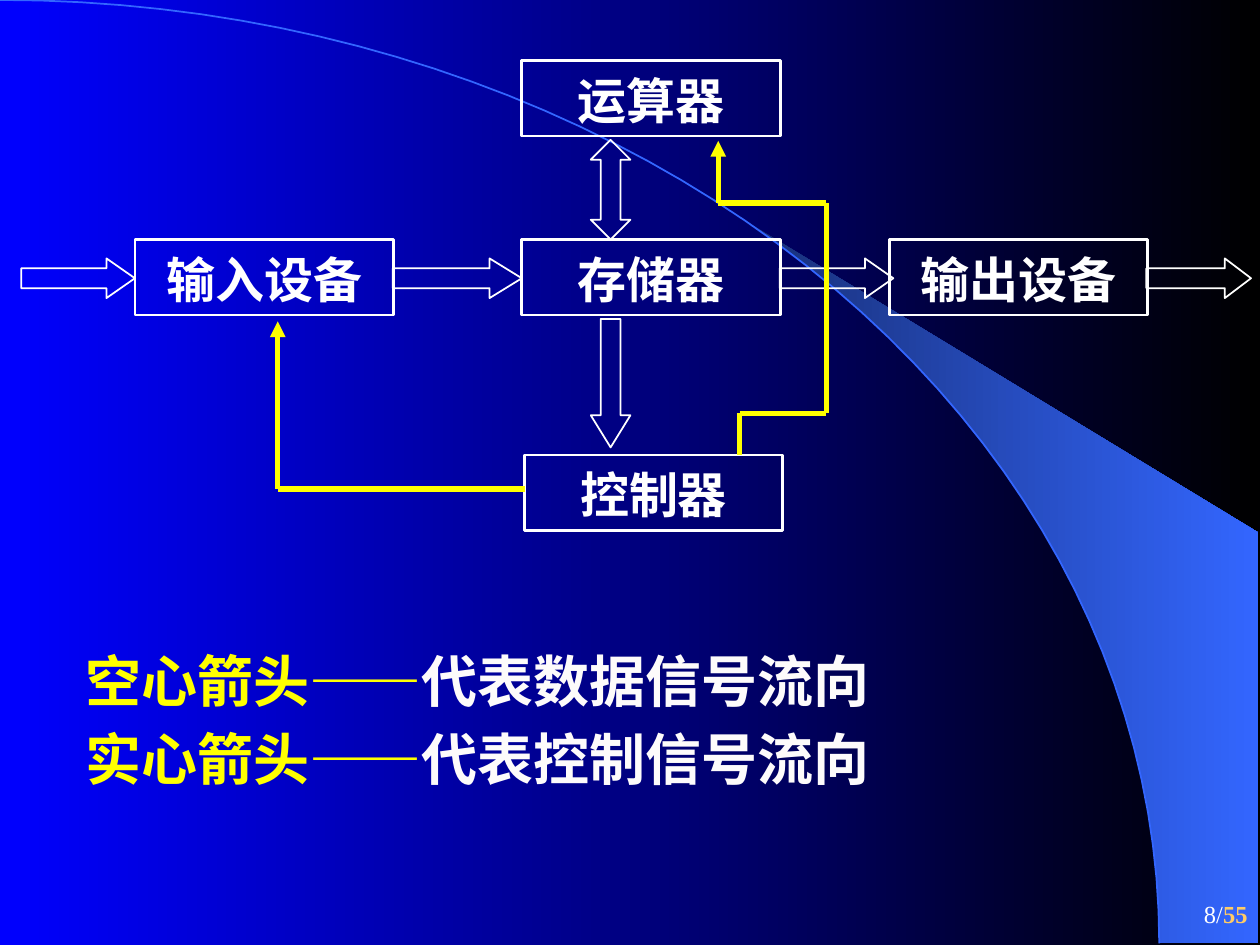
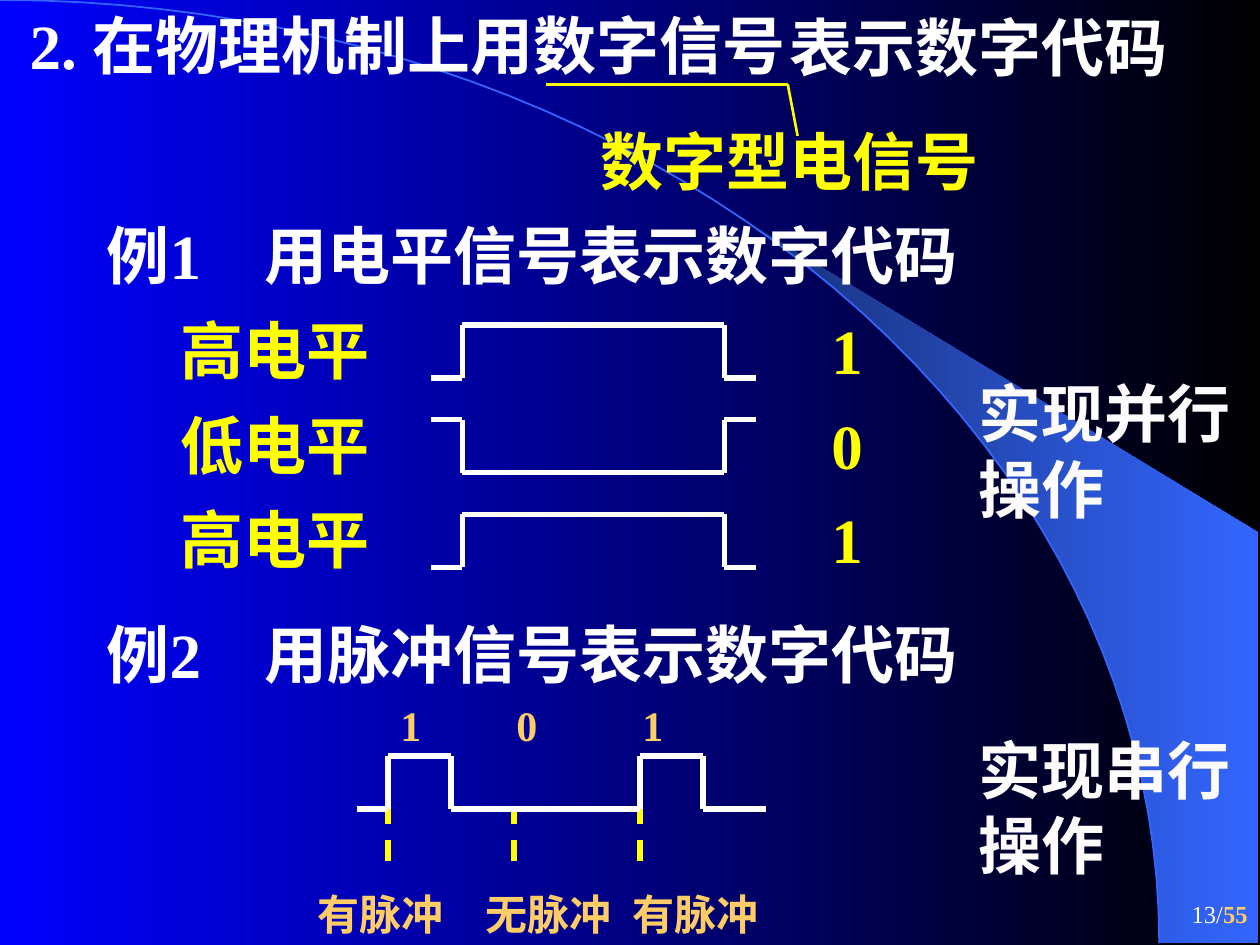
import itertools
import math

import lxml.etree
import pptx
import pptx.dml.color
import pptx.enum.dml
import pptx.enum.lang
import pptx.enum.shapes
import pptx.enum.text
import pptx.oxml.ns
import pptx.util

Cm = pptx.util.Cm
Pt = pptx.util.Pt
qn = pptx.oxml.ns.qn
SHAPES = pptx.enum.shapes.MSO_SHAPE
ALIGN = pptx.enum.text.PP_ALIGN
ANCHOR = pptx.enum.text.MSO_ANCHOR

HEX = {
    "blue": "0000FF",
    "black": "000000",
    "navy": "182F76",
    "azure": "3366FF",
    "white": "FFFFFF",
    "pale": "FDFBFB",
    "yellow": "FFFF00",
    "orange": "FFCC66",
}
COLOR = {name: pptx.dml.color.RGBColor.from_string(value) for name, value in HEX.items()}

FONT = {
    "box": {"name": "Arial", "size": Pt(28), "bold": True},
    "legend": {"name": "Arial", "size": Pt(32), "bold": True},
    "heading": {"name": "Times New Roman", "size": Pt(36), "bold": True},
    "small": {"name": "Times New Roman", "size": Pt(24), "bold": True},
    "page": {"name": "Times New Roman", "size": Pt(14), "bold": False},
    "total": {"name": "Times New Roman", "size": Pt(14), "bold": True},
}


def write(slide, box, runs, outline=None, align=ALIGN.LEFT, tab=None, **frame_format):
    """Put (text, font, colour) runs in a text box, or in an outlined rectangle."""
    box = [Cm(length) for length in box]
    if outline:
        shape = slide.shapes.add_shape(SHAPES.RECTANGLE, *box)
        shape.shadow.inherit = False
        shape.fill.background()
        shape.line.color.rgb = COLOR[outline]
        shape.line.width = Pt(1.5)
    else:
        shape = slide.shapes.add_textbox(*box)
    frame = shape.text_frame
    settings = {"word_wrap": True, "vertical_anchor": ANCHOR.TOP,
                "margin_left": Cm(0.25), "margin_right": Cm(0.25),
                "margin_top": Cm(0.13), "margin_bottom": Cm(0.13)}
    for name, value in (settings | frame_format).items():
        setattr(frame, name, value)
    paragraph = frame.paragraphs[0]
    paragraph.alignment = align
    if tab:
        tabs = lxml.etree.SubElement(paragraph._p.get_or_add_pPr(), qn("a:tabLst"))
        lxml.etree.SubElement(tabs, qn("a:tab"), pos=str(Cm(tab)), algn="l")
    for text, font, color in runs:
        run = paragraph.add_run()
        run.text = text
        run.font.language_id = pptx.enum.lang.MSO_LANGUAGE_ID.SIMPLIFIED_CHINESE
        run.font.color.rgb = COLOR[color]
        for name, value in FONT[font].items():
            setattr(run.font, name, value)


def draw_route(slide, points, color, width=3, arrow=False, dashed=False):
    """Join the points with straight lines; the last one may carry an arrowhead."""
    for start, end in itertools.pairwise(points):
        connector = slide.shapes.add_connector(
            pptx.enum.shapes.MSO_CONNECTOR.STRAIGHT,
            *[Cm(length) for length in (*start, *end)])
        connector.line.color.rgb = COLOR[color]
        connector.line.width = Pt(width)
        if dashed:
            connector.line.dash_style = pptx.enum.dml.MSO_LINE.DASH
        if arrow and end == points[-1]:
            line = connector.line._get_or_add_ln()
            lxml.etree.SubElement(line, qn("a:tailEnd"), type="triangle")
        lxml.etree.SubElement(connector._element.spPr, qn("a:effectLst"))


presentation = pptx.Presentation()
presentation.slide_width = Cm(25.4)
presentation.slide_height = Cm(19.05)
blank = presentation.slide_layouts[6]
diagram, signals = [presentation.slides.add_slide(blank) for _ in range(2)]

# Shared background: gradient, wing, arc and page number
arc = [(Cm(23.37 * math.sin(math.radians(angle))),
        Cm(19.02 * (1 - math.cos(math.radians(angle)))))
       for angle in range(0, 91, 2)]
wing = arc[20:] + [(Cm(25.37), Cm(19.02)), (Cm(25.37), Cm(10.74))]

for slide, page in ((diagram, "8/"), (signals, "13/")):
    builder = slide.shapes.build_freeform(*wing[0])
    builder.add_line_segments(wing[1:], close=True)
    wing_shape = builder.convert_to_shape()
    wing_shape.line.fill.background()

    builder = slide.shapes.build_freeform(*arc[0])
    builder.add_line_segments(arc[1:], close=False)
    arc_shape = builder.convert_to_shape()
    arc_shape.fill.background()
    arc_shape.line.color.rgb = COLOR["azure"]
    arc_shape.line.width = Pt(1)
    for shape in (wing_shape, arc_shape):
        shape.shadow.inherit = False

    for fill, colors in ((slide.background.fill, ("blue", "black")),
                         (wing_shape.fill, ("navy", "azure"))):
        fill.gradient()
        fill.gradient_angle = 0
        for stop, color in zip(fill.gradient_stops, colors):
            stop.color.rgb = COLOR[color]

    write(slide, (20.12, 17.78, 5.28, 1.27),
          [(page, "page", "white"), ("55", "total", "orange")],
          align=ALIGN.RIGHT, vertical_anchor=ANCHOR.MIDDLE)

# Slide 1: the five units
for label, left, top in (("运算器", 10.52, 1.22), ("输入设备", 2.72, 4.83),
                         ("存储器", 10.52, 4.83), ("输出设备", 17.93, 4.83),
                         ("控制器", 10.57, 9.17)):
    write(diagram, (left, top, 5.21, 1.52), [(label, "box", "white")],
          outline="white", align=ALIGN.CENTER, margin_top=Cm(0.2))

# Slide 1: hollow data arrows, each head a fixed share of the length
thickness = 0.8
data_arrows = [(SHAPES.RIGHT_ARROW, left, 5.21, length, thickness, length / 4)
               for left, length in ((0.43, 2.29), (7.92, 2.6), (15.72, 2.29), (23.11, 2.11))]
data_arrows += [(SHAPES.DOWN_ARROW, 11.91, 6.43, thickness, 2.59, 2.59 / 4),
                (SHAPES.UP_DOWN_ARROW, 11.91, 2.82, thickness, 2.01, 2.01 / 5)]
for kind, left, top, width, height, head in data_arrows:
    arrow = diagram.shapes.add_shape(kind, Cm(left), Cm(top), Cm(width), Cm(height))
    arrow.adjustments[0] = 0.5
    arrow.adjustments[1] = head / thickness
    arrow.shadow.inherit = False
    arrow.fill.background()
    arrow.line.color.rgb = COLOR["white"]
    arrow.line.width = Pt(1)

# Slide 1: solid control arrows
to_input = [(10.59, 9.86), (5.6, 9.86), (5.6, 6.48)]
to_arithmetic = [(14.91, 9.17), (14.91, 8.33), (16.66, 8.33),
                 (16.66, 4.09), (14.48, 4.09), (14.48, 2.84)]
for route in (to_input, to_arithmetic):
    draw_route(diagram, route, "yellow", arrow=True)

# Slide 1: legend
for top, term, meaning in ((12.9, "空心箭头——", "代表数据信号流向"),
                           (14.48, "实心箭头——", "代表控制信号流向")):
    write(diagram, (1.47, top, 17.6, 1.63),
          [(term, "legend", "yellow"), (meaning, "legend", "pale")])

# Slide 2: title with its underlined term
write(signals, (0, 0, 20.12, 1.96), [("2. 在物理机制上用数字信号", "heading", "white")],
      margin_left=Cm(0.6))
write(signals, (15.67, 0.05, 9.5, 1.96), [("表示数字代码", "heading", "white")])
draw_route(signals, [(11, 1.7), (15.88, 1.7), (16.08, 2.74)], "yellow", width=1.5)
write(signals, (11.86, 2.34, 9.96, 1.78), [("数字型电信号", "heading", "yellow")])

# Slide 2: example headings and remarks
for top, text in ((4.24, "例1\t用电平信号表示数字代码"),
                  (12.27, "例2\t用脉冲信号表示数字代码")):
    write(signals, (1.9, top, 19.89, 1.78), [(text, "heading", "white")], tab=3.18)
for top, text in ((7.42, "实现并行操作"), (14.61, "实现串行操作")):
    write(signals, (19.48, top, 5.92, 3.3), [(text, "heading", "pale")])

# Slide 2: level signals, one row per bit
for row, (level, bit) in enumerate((("高电平", "1"), ("低电平", "0"), ("高电平", "1"))):
    offset = 1.91 * row
    for left, width, text in ((3.38, 6.55, level), (16.51, 3.38, bit)):
        write(signals, (left, 6.15 + offset, width, 1.78), [(text, "heading", "yellow")])
    high, low = 6.55 + offset, 7.62 + offset
    rest, active = (low, high) if bit == "1" else (high, low)
    draw_route(signals, [(8.69, rest), (9.32, rest), (9.32, active),
                         (14.6, active), (14.6, rest), (15.24, rest)], "white")

# Slide 2: pulse signal with its clock marks
base, peak = 16.31, 15.24
pulse = [(7.19, base)]
for start in (7.82, 12.9):
    end = start + 1.27
    pulse += [(start, base), (start, peak), (end, peak), (end, base)]
pulse.append((15.44, base))
for mark in range(3):
    x = 7.82 + 2.54 * mark
    draw_route(signals, [(x, 17.35), (x, base)], "yellow", dashed=True)
draw_route(signals, pulse, "white")

for bit, bit_left, label, label_left in (("1", 7.82, "有脉冲", 6.15),
                                         ("0", 10.16, "无脉冲", 9.53),
                                         ("1", 12.7, "有脉冲", 12.5)):
    write(signals, (bit_left, 13.97, 1.9, 1.27), [(bit, "small", "orange")])
    write(signals, (label_left, 17.78, 4.01, 1.27), [(label, "small", "orange")])

presentation.save("out.pptx")
